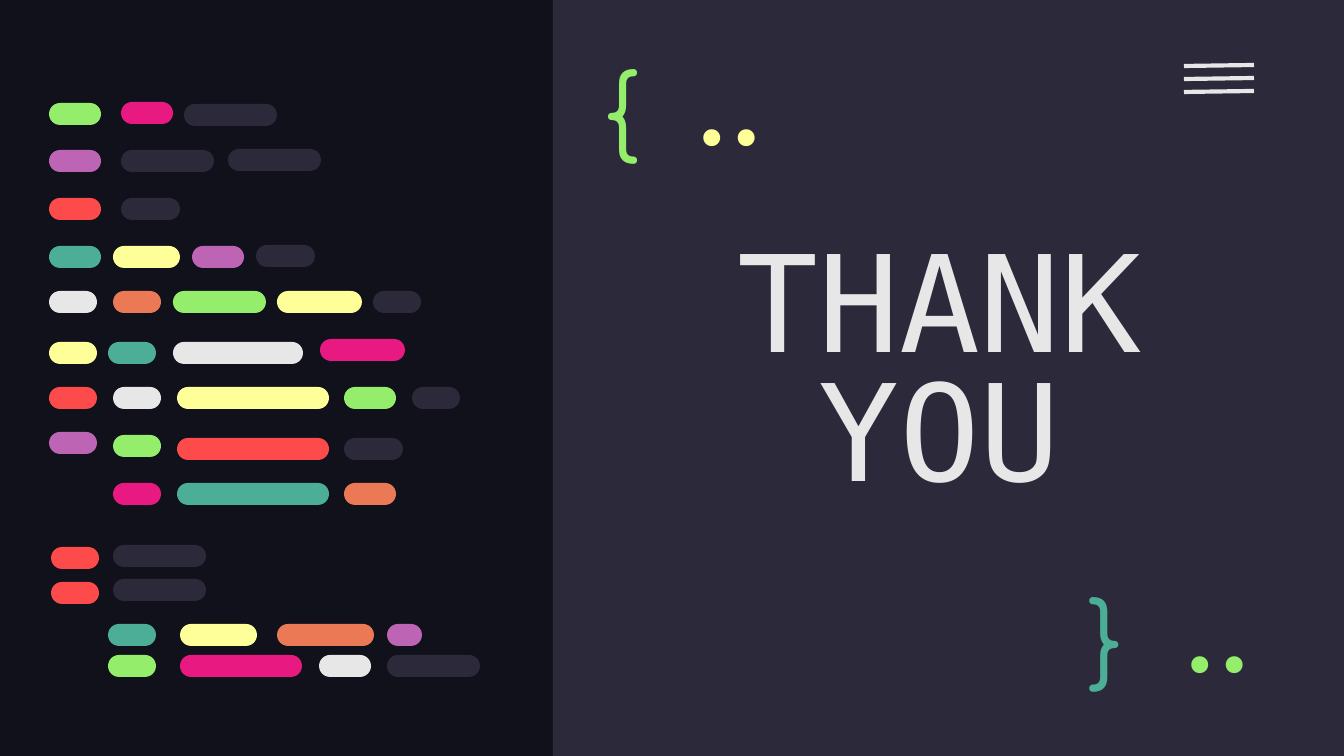
from lxml.etree import SubElement
from pptx import Presentation
from pptx.dml.color import RGBColor
from pptx.enum.shapes import MSO_CONNECTOR, MSO_SHAPE
from pptx.enum.text import MSO_ANCHOR, MSO_AUTO_SIZE, PP_ALIGN
from pptx.oxml.ns import qn
from pptx.util import Inches, Pt

COLORS = {
    "night": "10111A", "slate": "2C293A", "white": "E7E7E7",
    "lime": "94EE6B", "pink": "E81A81", "purple": "BD64B5", "red": "FD4A4A",
    "teal": "4CAE97", "yellow": "FFFF99", "orange": "EC7955",
}
PILL_H = 22
CODE_ROWS = [
    [(0, 1, 52, "lime"), (72, 0, 52, "pink"), (135, 2, 93, "slate")],
    [(0, 48, 52, "purple"), (72, 48, 93, "slate"), (179, 47, 93, "slate")],
    [(0, 96, 52, "red"), (72, 96, 59, "slate")],
    [(0, 144, 52, "teal"), (64, 144, 67, "yellow"), (143, 144, 52, "purple"),
     (207, 143, 59, "slate")],
    [(0, 189, 48, "white"), (64, 189, 48, "orange"), (124, 189, 93, "lime"),
     (228, 189, 85, "yellow"), (324, 189, 48, "slate")],
    [(0, 240, 48, "yellow"), (59, 240, 48, "teal"), (124, 240, 130, "white"),
     (271, 237, 85, "pink")],
    [(0, 285, 48, "red"), (64, 285, 48, "white"), (128, 285, 152, "yellow"),
     (295, 285, 52, "lime"), (363, 285, 48, "slate")],
    [(0, 330, 48, "purple"), (64, 333, 48, "lime"), (128, 336, 152, "red"),
     (295, 336, 59, "slate")],
    [(64, 381, 48, "pink"), (128, 381, 152, "teal"), (295, 381, 52, "orange")],
    [(2, 445, 48, "red"), (64, 443, 93, "slate")],
    [(2, 480, 48, "red"), (64, 477, 93, "slate")],
    [(59, 522, 48, "teal"), (131, 522, 77, "yellow"), (228, 522, 97, "orange"),
     (338, 522, 35, "purple")],
    [(59, 553, 48, "lime"), (131, 553, 122, "pink"), (270, 553, 52, "white"),
     (338, 553, 93, "slate")],
]


def px(n):
    """Turn pixels at 134.4 to the inch into EMU."""
    return Inches(n / 134.4)


def rgb(name):
    """Look up a palette colour."""
    return RGBColor.from_string(COLORS[name])


def add_block(shapes, kind, box, color):
    """Add a flat filled shape without outline."""
    sp = shapes.add_shape(kind, *map(px, box))
    sp.shadow.inherit = False
    sp.fill.solid()
    sp.fill.fore_color.rgb = rgb(color)
    sp.line.fill.background()
    return sp


def set_text(sp, text, font, size, color, align, anchor):
    """Write one formatted paragraph into a shape."""
    tf = sp.text_frame
    tf.text = text
    tf.word_wrap = True
    tf.auto_size = MSO_AUTO_SIZE.NONE
    tf.vertical_anchor = anchor
    tf.margin_left = tf.margin_right = tf.margin_top = tf.margin_bottom = Inches(0.1)
    p = tf.paragraphs[0]
    p.alignment = align
    p.font.name = font
    p.font.size = Pt(size)
    p.font.color.rgb = rgb(color)
    return p


def add_menu(s, x, y, w, gap):
    """Draw the three-line menu icon."""
    group = s.shapes.add_group_shape()
    for i in range(3):
        top = y + i * gap
        line = group.shapes.add_connector(
            MSO_CONNECTOR.STRAIGHT, px(x), px(top + 1), px(x + w), px(top))
        line.line.color.rgb = rgb("white")
        line.line.width = Pt(2.25)
        SubElement(line.element.spPr, qn("a:effectLst"))


def add_title(s, x, y, w, h):
    """Place the title in front of the panel."""
    title = s.shapes.title
    s.shapes.element.append(title.element)
    title.left, title.top, title.width, title.height = map(px, (x, y, w, h))
    p = set_text(title, "THANK YOU", "DejaVu Sans Mono", 72, "white",
                 PP_ALIGN.CENTER, MSO_ANCHOR.MIDDLE)
    p.line_spacing = 0.8


def add_code(s, x, y):
    """Draw the rows of pills that stand for lines of code."""
    group = s.shapes.add_group_shape()
    for row in CODE_ROWS:
        for dx, dy, w, color in row:
            pill = add_block(group.shapes, MSO_SHAPE.ROUNDED_RECTANGLE,
                             (x + dx, y + dy, w, PILL_H), color)
            pill.adjustments[0] = 0.5


def add_brace(s, box, text, color):
    """Add a large curly brace."""
    sp = s.shapes.add_textbox(*map(px, box))
    set_text(sp, text, "Comfortaa", 50, color, PP_ALIGN.LEFT, MSO_ANCHOR.TOP)


def add_dots(s, x, y, color):
    """Add a pair of dots beside a brace."""
    sp = s.shapes.add_textbox(*map(px, (x, y, 144, 81)))
    set_text(sp, "..", "Fira Code", 50, color, PP_ALIGN.RIGHT, MSO_ANCHOR.MIDDLE)


def main():
    """Build and save the closing slide."""
    prs = Presentation()
    prs.slide_width, prs.slide_height = px(1344), px(756)
    s = prs.slides.add_slide(prs.slide_layouts[5])
    s.background.fill.solid()
    s.background.fill.fore_color.rgb = rgb("night")
    add_block(s.shapes, MSO_SHAPE.RECTANGLE, (553, 0, 791, 756), "slate")
    add_menu(s, 1184, 65, 70, 13)
    add_title(s, 640, 192, 599, 372)
    add_code(s, 49, 102)
    add_brace(s, (590, 36, 103, 128), "{", "lime")
    add_brace(s, (1075, 564, 77, 112), "}", "teal")
    add_dots(s, 1144, 595, "lime")
    add_dots(s, 656, 68, "yellow")
    prs.save("out.pptx")


if __name__ == "__main__":
    main()
